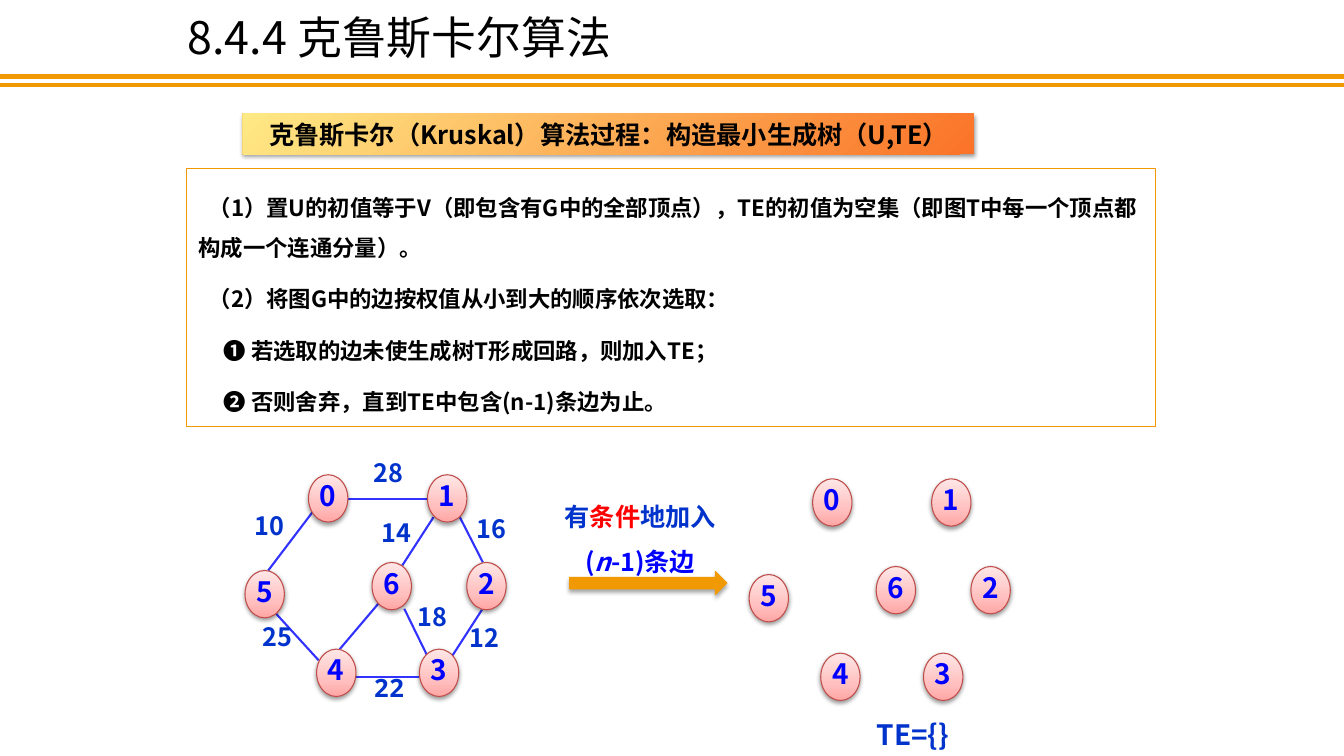
from lxml.etree import SubElement
from pptx import Presentation
from pptx.dml.color import RGBColor
from pptx.enum.shapes import MSO_CONNECTOR, MSO_SHAPE
from pptx.enum.text import MSO_ANCHOR, MSO_AUTO_SIZE, PP_ALIGN
from pptx.oxml.ns import qn
from pptx.util import Inches, Pt

SANS, MONO = "Noto Sans CJK SC", "Noto Sans Mono"
BLACK, BLUE, NAVY, RED = "000000", "0000FF", "0033CC", "FF0000"
ORANGE, BORDER, EDGE, NODE_LINE = "F19903", "F29803", "3333FF", "BF4C48"
BANNER_STOPS = [(0, "FA7328"), (100, "FFE985")]
NODE_STOPS = [(0, "FFA6A5"), (35, "FFC0BF"), (100, "FFE7E7")]

TITLE = "8.4.4 克鲁斯卡尔算法"
BANNER = "克鲁斯卡尔（Kruskal）算法过程：构造最小生成树（U,TE）"
STEPS = [  # first-line indent, text
    (0.1, "（1）置U的初值等于V（即包含有G中的全部顶点），TE的初值为空集（即图T中每一个顶点都构成一个连通分量）。"),
    (0.1, "（2）将图G中的边按权值从小到大的顺序依次选取："),
    (0.25, "❶ 若选取的边未使生成树T形成回路，则加入TE；"),
    (0.25, "❷ 否则舍弃，直到TE中包含(n-1)条边为止。"),
]
CAPTION = [("有", NAVY), ("条件", RED), ("地加入", NAVY),
           ("(", BLUE), ("n", BLUE), ("-1)条边", BLUE)]
RESULT = "TE={}"

NODE_SIZE = (0.39, 0.47)
NODES = {"0": (3.06, 4.71), "1": (4.24, 4.71), "5": (2.43, 5.66), "4": (3.14, 6.44),
         "3": (4.16, 6.44), "6": (3.69, 5.58), "2": (4.63, 5.58)}
GRAPH_OFFSETS = [(0, 0), (5, 0.04)]
EDGES = [(3.45, 4.95, 4.24, 4.95), (3.1, 5.08, 2.66, 5.66), (2.74, 6.09, 3.16, 6.55),
         (3.53, 6.72, 4.17, 6.72), (3.37, 6.44, 3.76, 5.98), (4.01, 6.04, 4.24, 6.51),
         (4.3, 5.13, 3.99, 5.61), (4.55, 5.11, 4.79, 5.58), (4.78, 6.05, 4.49, 6.5)]
WEIGHTS = [("28", 3.61, 4.55, SANS), ("10", 2.43, 5.07, SANS), ("14", 3.69, 5.14, SANS),
           ("25", 2.51, 6.17, SANS), ("18", 4.04, 5.97, SANS), ("22", 3.61, 6.68, MONO),
           ("16", 4.63, 5.1, SANS), ("12", 4.56, 6.18, SANS)]


def rgb(value):
    return RGBColor.from_string(value)


def style(paragraph, size, color, bold=True, align=PP_ALIGN.LEFT, spacing=0.8, font=SANS):
    """Format a paragraph, with half a line of space before it."""
    paragraph.alignment = align
    paragraph.line_spacing = spacing
    paragraph.space_before = Pt(size / 2)
    props = paragraph._p.get_or_add_pPr()
    before = props.find(qn("a:spcBef"))
    before.remove(before[0])
    SubElement(before, qn("a:spcPct"), val="50000")
    paragraph.font.name = font
    paragraph.font.size = Pt(size)
    paragraph.font.bold = bold
    paragraph.font.color.rgb = rgb(color)
    latin = props.find(qn("a:defRPr")).find(qn("a:latin"))
    latin.addnext(latin.makeelement(qn("a:ea"), {"typeface": font}))


def place(shape, left, top, width, height):
    shape.left, shape.top = Inches(left), Inches(top)
    shape.width, shape.height = Inches(width), Inches(height)


def outline(item, color, width):
    item.line.color.rgb = rgb(color)
    item.line.width = Pt(width)


def add_line(x1, y1, x2, y2, color, width):
    line = slide.shapes.add_connector(
        MSO_CONNECTOR.STRAIGHT, Inches(x1), Inches(y1), Inches(x2), Inches(y2))
    outline(line, color, width)
    SubElement(line._element.spPr, qn("a:effectLst"))


def add_shadowed(kind, left, top, width, height, alpha=38, distance=1.6):
    shape = slide.shapes.add_shape(
        kind, Inches(left), Inches(top), Inches(width), Inches(height))
    shape.shadow.inherit = False
    effects = shape._element.spPr.find(qn("a:effectLst"))
    shadow = SubElement(effects, qn("a:outerShdw"), blurRad=str(Pt(3.1)),
                        dist=str(Pt(distance)), dir="5400000", rotWithShape="0")
    shade = SubElement(shadow, qn("a:srgbClr"), val=BLACK)
    SubElement(shade, qn("a:alpha"), val=str(alpha * 1000))
    return shape


def fill_gradient(shape, stops, angle):
    shape.fill.gradient()
    shape.fill.gradient_angle = angle
    stop_list = shape._element.spPr.find(qn("a:gradFill")).find(qn("a:gsLst"))
    for old in list(stop_list):
        stop_list.remove(old)
    for position, color in stops:
        stop = SubElement(stop_list, qn("a:gs"), pos=str(position * 1000))
        SubElement(stop, qn("a:srgbClr"), val=color)


def add_label(left, top, width, height):
    """Add a wrapping text box and return its first paragraph."""
    box = slide.shapes.add_textbox(
        Inches(left), Inches(top), Inches(width), Inches(height))
    box.text_frame.word_wrap = True
    box.text_frame.auto_size = MSO_AUTO_SIZE.SHAPE_TO_FIT_TEXT
    return box.text_frame.paragraphs[0]


prs = Presentation()
prs.slide_width, prs.slide_height = Inches(13.33), Inches(7.5)
slide = prs.slides.add_slide(prs.slide_layouts[1])
title, steps = slide.placeholders

for y in (0.76, 0.84):
    add_line(0, y, 13.33, y, ORANGE, 3)

place(title, 1.76, 0.15, 7.62, 0.53)
title.text_frame.text = TITLE
title.text_frame.vertical_anchor = MSO_ANCHOR.TOP
title.text_frame.auto_size = MSO_AUTO_SIZE.SHAPE_TO_FIT_TEXT
style(title.text_frame.paragraphs[0], 32, BLACK, bold=False)

banner = add_shadowed(MSO_SHAPE.RECTANGLE, 2.41, 1.13, 7.25, 0.4)
fill_gradient(banner, BANNER_STOPS, 135)
banner.line.fill.background()
banner.text_frame.text = BANNER
banner.text_frame.vertical_anchor = MSO_ANCHOR.TOP
style(banner.text_frame.paragraphs[0], 18, BLACK, align=PP_ALIGN.CENTER, spacing=1.0)

place(steps, 1.85, 1.67, 9.61, 2.66)
steps.fill.solid()
steps.fill.fore_color.rgb = rgb("FFFFFF")
outline(steps, BORDER, 0.75)
frame = steps.text_frame
frame.margin_left = frame.margin_right = Inches(0.12)
frame.margin_top = frame.margin_bottom = Inches(0.12)
frame.auto_size = MSO_AUTO_SIZE.SHAPE_TO_FIT_TEXT
frame.text = "\n".join(text for _, text in STEPS)
for paragraph, (indent, _) in zip(frame.paragraphs, STEPS):
    style(paragraph, 16, BLACK, spacing=1.5)
    props = paragraph._p.pPr
    props.set("marL", "0")
    props.set("indent", str(Inches(indent)))
    props.find(qn("a:defRPr")).addprevious(props.makeelement(qn("a:buNone"), {}))

for edge in EDGES:
    add_line(*edge, EDGE, 1.5)
for dx, dy in GRAPH_OFFSETS:
    for name, (x, y) in NODES.items():
        node = add_shadowed(MSO_SHAPE.OVAL, x + dx, y + dy, *NODE_SIZE)
        fill_gradient(node, NODE_STOPS, 90)
        outline(node, NODE_LINE, 0.75)
        node.text_frame.text = name
        node.text_frame.word_wrap = False
        node.text_frame.vertical_anchor = MSO_ANCHOR.MIDDLE
        style(node.text_frame.paragraphs[0], 20, BLUE, align=PP_ALIGN.CENTER)
for weight, x, y, font in WEIGHTS:
    label = add_label(x, y, 0.55, 0.34)
    label.text = weight
    style(label, 18, NAVY, font=font)

arrow = add_shadowed(MSO_SHAPE.RIGHT_ARROW, 5.65, 5.67, 1.56, 0.23, alpha=35, distance=1.8)
arrow.fill.solid()
arrow.fill.fore_color.rgb = rgb(ORANGE)
outline(arrow, ORANGE, 0.75)

caption = add_label(5.49, 4.77, 1.72, 1.01)
style(caption, 18, NAVY, align=PP_ALIGN.CENTER, spacing=1.5)
for text, color in CAPTION:
    run = caption.add_run()
    run.text = text
    run.font.color.rgb = rgb(color)
    if text == "n":
        run.font.italic = True

result = add_label(8.39, 7.13, 1.33, 0.37)
result.text = RESULT
style(result, 20, NAVY, align=PP_ALIGN.CENTER)

prs.save("out.pptx")
